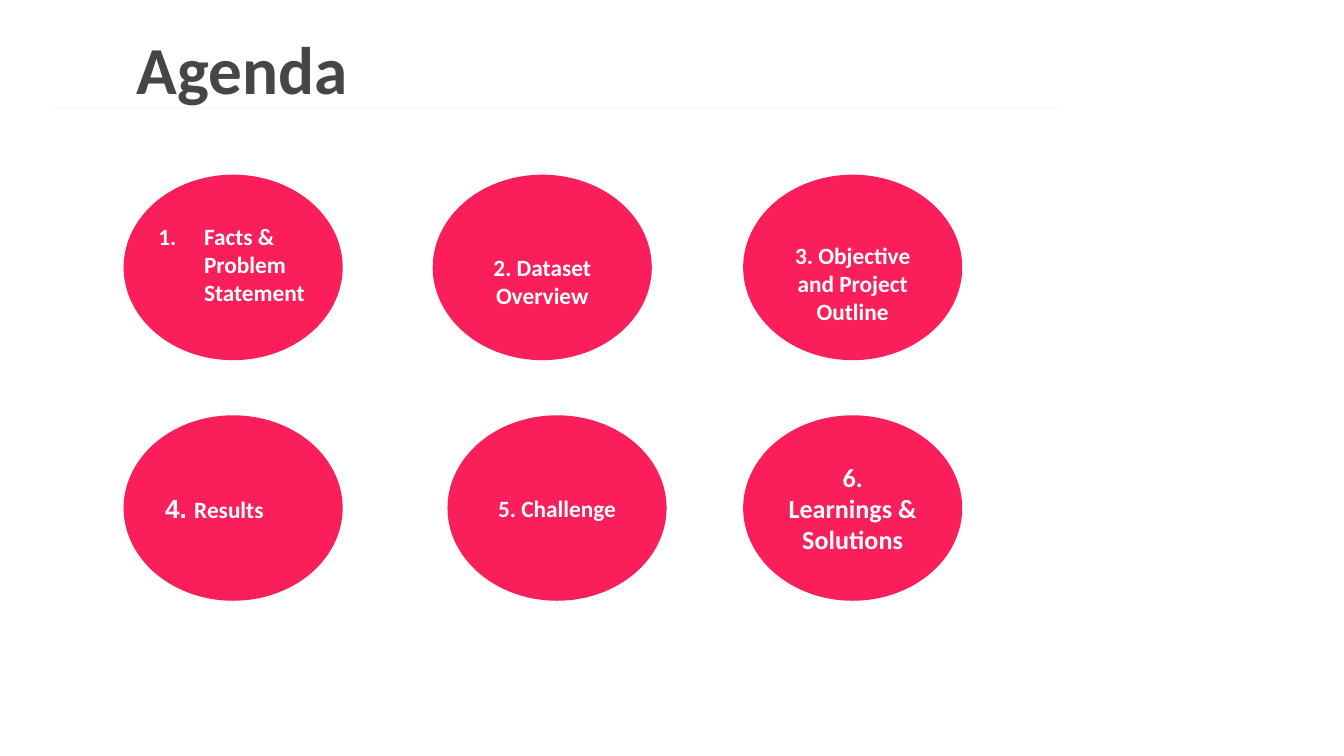
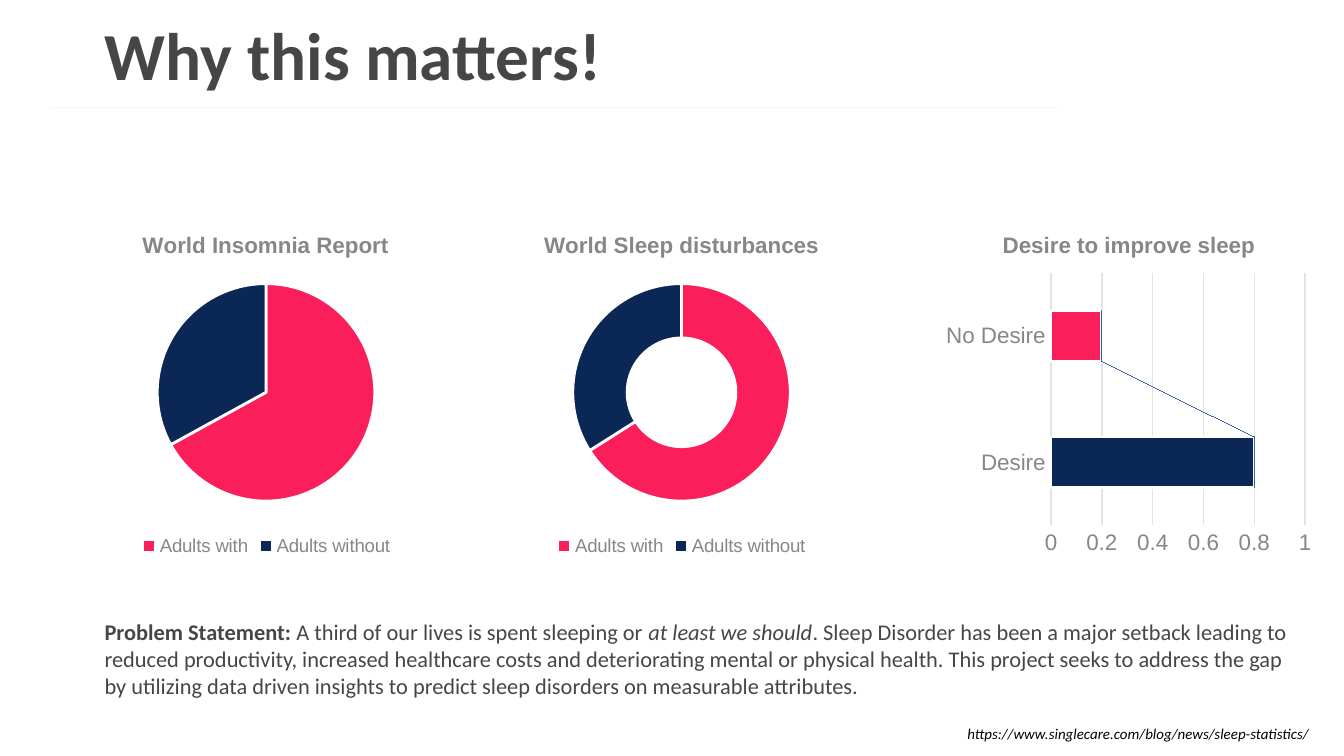
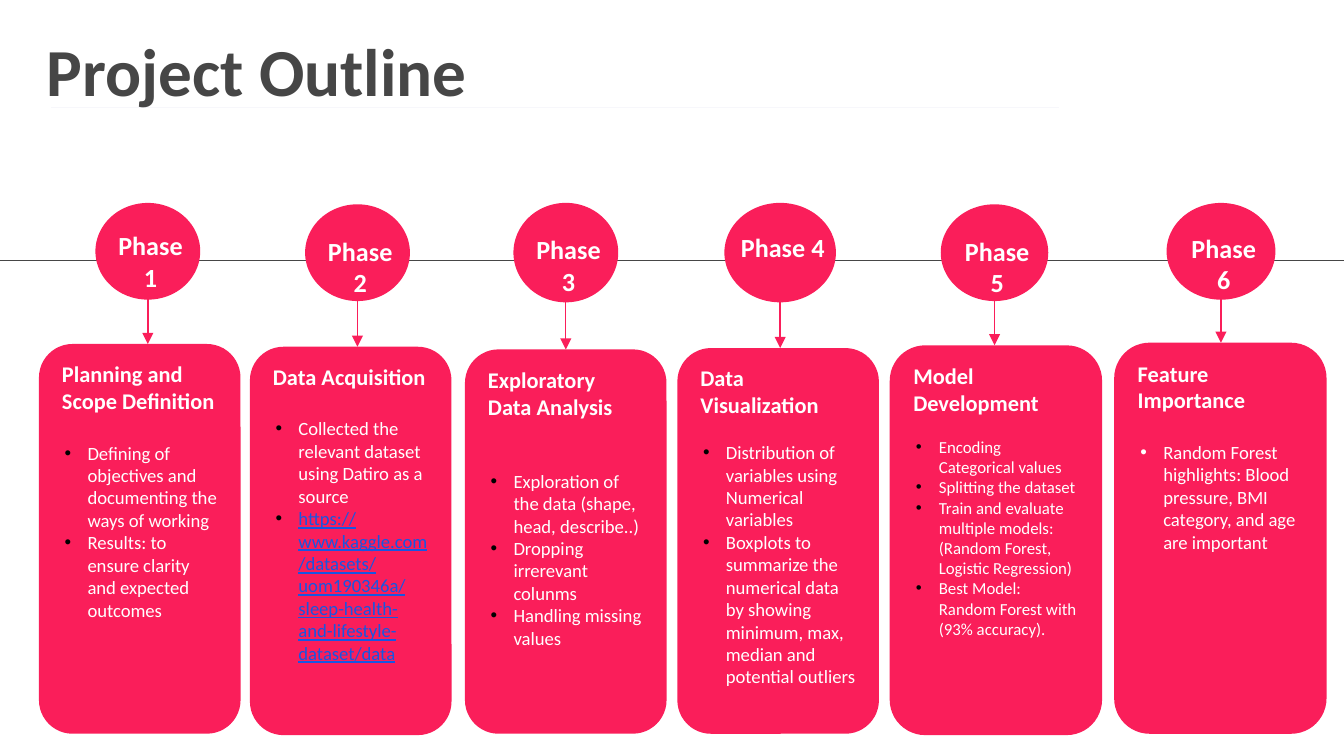
from lxml import etree
from pptx import Presentation
from pptx.chart.data import CategoryChartData
from pptx.dml.color import RGBColor
from pptx.enum.chart import XL_CHART_TYPE as Kind, XL_LEGEND_POSITION as Legend, XL_TICK_MARK as Tick
from pptx.enum.shapes import MSO_CONNECTOR as Line, MSO_SHAPE as Shape
from pptx.enum.text import MSO_ANCHOR as Anchor, PP_ALIGN as Align
from pptx.oxml import parse_xml
from pptx.oxml.ns import nsdecls, qn
from pptx.util import Inches, Pt

PINK = RGBColor(0xFA, 0x1E, 0x5A)
NAVY = RGBColor(0x0A, 0x27, 0x56)
INK = RGBColor(0x46, 0x46, 0x46)
GRAY = RGBColor(0x87, 0x87, 0x87)
GRID = RGBColor(0xE3, 0xE3, 0xE3)
PALE = RGBColor(0xF7, 0xF7, 0xFB)
LINK = RGBColor(0x17, 0x56, 0xE2)
WHITE = RGBColor(0xFF, 0xFF, 0xFF)
BLACK = RGBColor(0, 0, 0)
BODY, PLAIN = "Calibri", "Arial"

# Agenda: left, top, paragraphs, alignment, size, extra inset at the top
COLS, ROWS = (0.92, 3.22, 5.53), (1.3, 3.09)
OVAL = (1.63, 1.38)
TOPICS = [
    (COLS[0], ROWS[0], [], Align.CENTER, 12.5, 0),
    (COLS[1], ROWS[0], ["2. Dataset Overview"], Align.CENTER, 12.5, 0.21),
    (COLS[2], ROWS[0], ["3. Objective and Project Outline"], Align.CENTER, 12.5, 0.23),
    (COLS[0], ROWS[1], [[("4. ", {"size": 14, "face": PLAIN}), ("Results", {})]],
     Align.LEFT, 12.5, 0),
    (3.33, ROWS[1], ["5. Challenge"], Align.CENTER, 12.5, 0),
    (COLS[2], ROWS[1], ["6.", "Learnings & Solutions"], Align.CENTER, 14, 0),
]
FACTS = "Facts & Problem Statement"

# Charts: kind, title, categories, values, colours, frame, title spot, plot area
ADULTS = ("Adults with", "Adults without")
CHARTS = [
    (Kind.PIE, "World Insomnia Report", ADULTS, (67, 33), (PINK, NAVY),
     (0.19, 1.59, 3.59, 2.59), (1.03, 1.69), (1.17, 2.11, 1.62, 1.62)),
    (Kind.DOUGHNUT, "World Sleep disturbances", ADULTS, (66, 34), (PINK, NAVY),
     (3.32, 1.59, 3.51, 2.59), (4.02, 1.69), (4.26, 2.11, 1.62, 1.62)),
    (Kind.BAR_STACKED, "Desire to improve sleep", ("Desire", "No Desire"), (0.8, 0.2),
     (NAVY, PINK), (6.98, 1.59, 2.83, 2.59), (7.43, 1.69), (7.82, 2.03, 1.89, 1.88)),
]
PROBLEM = [
    ("Problem Statement: ", {"bold": True}),
    ("A third of our lives is spent sleeping or ", {}),
    ("at least we should", {"italic": True}),
    (". Sleep Disorder has been a major setback leading to reduced productivity, "
     "increased healthcare costs and deteriorating mental or physical health. This project "
     "seeks to address the gap by utilizing data driven insights to predict sleep disorders "
     "on measurable attributes.", {}),
]
SOURCE = "https://www.singlecare.com/blog/news/sleep-statistics/"

# Phases: card box, circle box, label top, heading, gap in points, bullet size and colour, bullets
DATA = "https://www.kaggle.com/datasets/uom190346a/sleep-health-and-lifestyle-dataset/data"
PHASES = [
    ((0.29, 2.56, 1.5, 2.9), (0.71, 1.51, 0.78, 0.72), 1.66,
     "Planning and Scope Definition", 14.6, 10, BLACK,
     ["Defining of objectives and documenting the ways of working",
      "Results: to ensure clarity and expected outcomes"]),
    ((1.86, 2.58, 1.5, 2.89), (2.27, 1.52, 0.78, 0.72), 1.7,
     "Data Acquisition", 14.6, 10, BLACK,
     ["Collected the relevant dataset using Datiro as a source",
      [(DATA, {"color": LINK, "under": True})]]),
    ((3.46, 2.6, 1.5, 2.86), (3.82, 1.51, 0.78, 0.74), 1.69,
     "Exploratory Data Analysis", 26.8, 10, BLACK,
     ["Exploration of the data (shape, head, describe..)", "Dropping irrerevant colunms",
      "Handling missing values"]),
    ((5.04, 2.59, 1.5, 2.87), (5.39, 1.51, 0.83, 0.74), 1.67,
     "Data Visualization", 12.2, 10, BLACK,
     ["Distribution of variables using Numerical variables",
      "Boxplots to summarize the numerical data by showing minimum, max, median and "
      "potential outliers"]),
    ((6.62, 2.57, 1.58, 2.9), (7, 1.52, 0.8, 0.72), 1.7,
     "Model Development", 11, 9, BLACK,
     ["Encoding Categorical values", "Splitting the dataset",
      "Train and evaluate multiple models: (Random Forest, Logistic Regression)",
      "Best Model: Random Forest with (93% accuracy)."]),
    ((8.29, 2.55, 1.58, 2.91), (8.68, 1.51, 0.81, 0.72), 1.68,
     "Feature Importance", 14.6, 10, WHITE,
     ["Random Forest highlights: Blood pressure, BMI category, and age are important"]),
]


def inch(*nums):
    return [Inches(n) for n in nums]


def style(font, size, color, face=BODY, bold=False, italic=False, under=False):
    font.size, font.name, font.bold, font.italic = Pt(size), face, bold, italic
    font.color.rgb = color
    if under:
        font.underline = True


def mark(para, color, left, hang, num=False):
    """Give a paragraph a bullet, or a number, with a hanging indent."""
    props = para._p.get_or_add_pPr()
    props.set("marL", str(Inches(left)))
    props.set("indent", str(Inches(-hang)))
    tint = etree.SubElement(props, qn("a:buClr"))
    etree.SubElement(tint, qn("a:srgbClr"), val=str(color))
    if num:
        etree.SubElement(props, qn("a:buAutoNum"), type="arabicPeriod")
    else:
        etree.SubElement(props, qn("a:buFont"), typeface=PLAIN)
        etree.SubElement(props, qn("a:buChar"), char="•")


def write(frame, paras, align=Align.LEFT, gap=0, bullet=None, **look):
    """Append paragraphs, each a string or a list of (text, changes) runs."""
    for i, runs in enumerate(paras):
        fresh = len(frame.paragraphs) == 1 and not frame.paragraphs[0].runs
        para = frame.paragraphs[0] if fresh else frame.add_paragraph()
        para.alignment = align
        if bullet:
            mark(para, *bullet)
        if gap and i == 0:
            para.space_before = Pt(gap)
        for part, change in [(runs, {})] if isinstance(runs, str) else runs:
            run = para.add_run()
            run.text = part
            style(run.font, **{**look, **change})


def setup(frame, side, edge, anchor=Anchor.TOP, drop=0):
    frame.word_wrap, frame.vertical_anchor = True, anchor
    frame.margin_left = frame.margin_right = Inches(side)
    frame.margin_top, frame.margin_bottom = inch(edge + drop, edge)
    return frame


def add_text(slide, box, paras, edge=0.1, **look):
    frame = setup(slide.shapes.add_textbox(*inch(*box)).text_frame, 0.1, edge)
    write(frame, paras, **look)


def add_shape(slide, kind, box):
    shape = slide.shapes.add_shape(kind, *inch(*box))
    shape.shadow.inherit = False
    shape.fill.solid()
    shape.fill.fore_color.rgb = PINK
    shape.line.fill.background()
    return shape


def add_line(slide, ends, color, arrow=False):
    line = slide.shapes.add_connector(Line.STRAIGHT, *inch(*ends))
    line.line.color.rgb, line.line.width = color, Pt(0.75)
    if arrow:
        etree.SubElement(line.line._get_or_add_ln(), qn("a:tailEnd"), type="triangle")
    etree.SubElement(line._element.spPr, qn("a:effectLst"))


def start(deck, title, box):
    slide = deck.slides.add_slide(deck.slide_layouts[6])
    add_line(slide, (0.38, 0.8, 7.88, 0.8), PALE)
    add_text(slide, box, [title], size=36, color=INK, bold=True)
    return slide


def layout(box, spot, inner=False):
    """Make a manual layout from a spot on the slide, relative to the chart's box."""
    left, top, wide, high = box
    sizes = (wide, high, wide, high)
    shift = (left, top, 0, 0)
    parts = [(k, (n - s) / d) for k, n, s, d in zip("xywh", spot, shift, sizes)]
    xml = '<c:layoutTarget val="inner"/>' if inner else ""
    xml += "".join(f'<c:{k}Mode val="edge"/>' for k, _ in parts[:2])
    xml += "".join(f'<c:{k} val="{n:.3f}"/>' for k, n in parts)
    return parse_xml(f'<c:layout {nsdecls("c")}><c:manualLayout>{xml}</c:manualLayout></c:layout>')


def set_axes(chart):
    cats, vals = chart.category_axis, chart.value_axis
    for axis in (cats, vals):
        axis.major_tick_mark = axis.minor_tick_mark = Tick.NONE
        style(axis.tick_labels.font, 12, GRAY, PLAIN)
    cats.has_major_gridlines = False
    vals.minimum_scale, vals.maximum_scale, vals.major_unit = 0, 1, 0.2
    vals.format.line.fill.background()
    for edge in (cats.format.line, vals.major_gridlines.format.line):
        edge.color.rgb, edge.width = GRID, Pt(0.75)
    plot = chart.plots[0]
    plot.gap_width, plot.overlap = 150, 100
    plot._element.find(qn("c:overlap")).addnext(parse_xml(
        f'<c:serLines {nsdecls("c", "a")}><c:spPr><a:ln w="9525"><a:solidFill>'
        f'<a:srgbClr val="{LINK}"/></a:solidFill></a:ln></c:spPr></c:serLines>'))


def add_chart(slide, kind, title, cats, vals, colors, box, spot, area):
    data = CategoryChartData()
    data.categories = cats
    data.add_series("Series 1", vals)
    chart = slide.shapes.add_chart(kind, *inch(*box), data).chart
    style(chart.font, 10, INK, PLAIN)
    chart.has_title = True
    write(chart.chart_title.text_frame, [title], align=Align.CENTER,
          size=12, color=GRAY, face=PLAIN, bold=True)
    name = chart.chart_title._element
    for old in name.findall(qn("c:layout")):
        name.remove(old)
    name.find(qn("c:tx")).addnext(layout(box, spot))
    chart.chart_title.include_in_layout = False

    plot = chart.plots[0]
    bars = kind == Kind.BAR_STACKED
    plot.vary_by_categories = not bars
    for i, color in enumerate(colors):
        look = plot.series[0].points[i].format
        look.fill.solid()
        look.fill.fore_color.rgb = color
        look.line.color.rgb, look.line.width = WHITE, Pt(1.5)
    chart.has_legend = not bars
    if bars:
        set_axes(chart)
    else:
        chart.legend.position, chart.legend.include_in_layout = Legend.BOTTOM, False
        style(chart.legend.font, 10, GRAY, PLAIN)
    region = chart._chartSpace.chart.plotArea
    for old in region.findall(qn("c:layout")):
        region.remove(old)
    region.insert(0, layout(box, area, inner=True))


def agenda(deck):
    slide = start(deck, "Agenda", (0.92, 0.1, 2.41, 0.79))
    for left, top, paras, align, size, drop in TOPICS:
        oval = add_shape(slide, Shape.OVAL, (left, top, *OVAL))
        frame = setup(oval.text_frame, 0.07, 0.04, Anchor.MIDDLE, drop)
        write(frame, paras, align=align, size=size, color=WHITE, bold=True)
    add_text(slide, (COLS[0], 1.55, OVAL[0], 0.56), [FACTS], bullet=(WHITE, 0.5, 0.34, True),
             size=12.5, color=WHITE, bold=True)


def matters(deck):
    slide = start(deck, "Why this matters!", (0.68, 0, 9.32, 0.73))
    for chart in CHARTS:
        add_chart(slide, *chart)
    add_text(slide, (0.68, 4.5, 9.13, 1.07), [PROBLEM], size=12, color=INK)
    add_text(slide, (7.1, 5.34, 2.9, 0.28), [SOURCE], edge=0.05, size=8, color=BLACK, italic=True)


def outline(deck):
    slide = start(deck, "Project Outline", (0.25, 0.12, 9.32, 0.57))
    add_line(slide, (0, 1.94, 10, 1.94), INK)
    for i, (card, ring, high, head, gap, size, dot, items) in enumerate(PHASES, 1):
        panel = add_shape(slide, Shape.ROUNDED_RECTANGLE, card)
        frame = setup(panel.text_frame, 0.1, 0.05)
        write(frame, [head], size=12, color=WHITE, bold=True)
        write(frame, items, gap=gap, bullet=(dot, 0.19, 0.17), size=size, color=WHITE)
        add_shape(slide, Shape.OVAL, ring)
        left, top, wide, _ = ring
        mid = left + wide / 2
        add_line(slide, (mid, top + 0.59, mid, card[1]), PINK, arrow=True)
        add_text(slide, (left + 0.02, high, wide, 0.57), [f"Phase {i}"], edge=0.05,
                 align=Align.CENTER, size=14, color=WHITE, bold=True)


def main():
    deck = Presentation()
    deck.slide_width = Inches(10)
    deck.slide_height = deck.slide_width * 9 // 16
    for build in (agenda, matters, outline):
        build(deck)
    deck.save("out.pptx")


if __name__ == "__main__":
    main()
